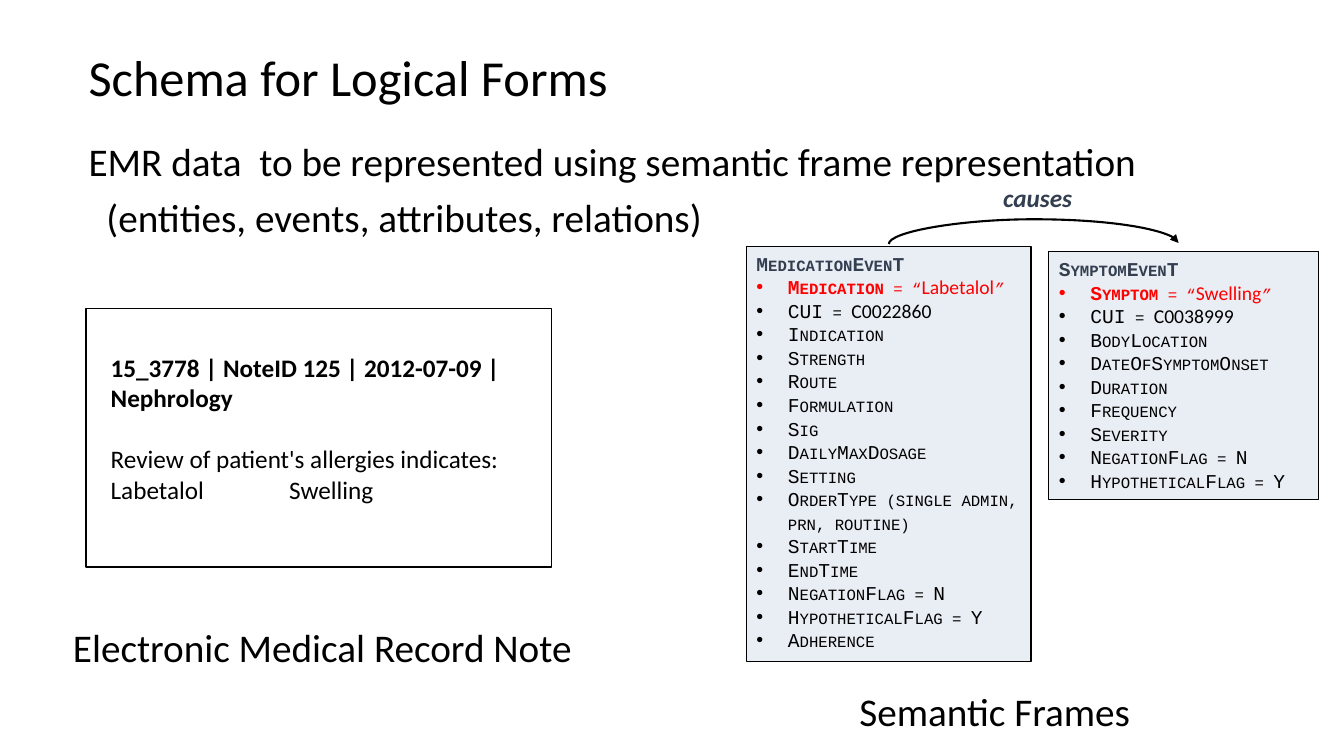
from lxml import etree
from pptx import Presentation, util as u
from pptx.dml.color import RGBColor
from pptx.enum import shapes, text
from pptx.oxml.ns import qn

HUES = {"ink": "000000", "slate": "333F50", "red": "FF0000", "pale": "E9EDF4"}
SANS, MONO = "Calibri", "Courier New"


def px(n):
    return u.Emu(n * 9525)


def hue(name):
    return RGBColor.from_string(HUES[name])


class Board:
    """Holds the style and the slide being drawn."""

    def __init__(self, deck):
        self.slide = deck.slides.add_slide(deck.slide_layouts[6])

    def style(self, run, size, color="ink", face=SANS, bold=False, slant=False):
        font = run.font
        font.size, font.name = u.Pt(size), face
        font.bold, font.italic = bold, slant
        font.color.rgb = hue(color)
        if face == MONO:
            run._r.get_or_add_rPr().set("cap", "small")

    def label(self, box, lines, size, wrap=True, **look):
        item = self.slide.shapes.add_textbox(*map(px, box))
        frame = item.text_frame
        frame.word_wrap = wrap
        frame.text = "\n".join(lines)
        for para in frame.paragraphs:
            for run in para.runs:
                self.style(run, size, **look)
        return frame

    def rect(self, box, width, fill=None):
        item = self.slide.shapes.add_shape(shapes.MSO_SHAPE.RECTANGLE, *map(px, box))
        item.shadow.inherit = False
        if fill:
            item.fill.solid()
            item.fill.fore_color.rgb = hue(fill)
        else:
            item.fill.background()
        item.line.color.rgb = hue("ink")
        item.line.width = u.Pt(width)
        return item

    def event(self, box, name, key, value, code, fields):
        frame = self.rect(box, 0.75, "pale").text_frame
        frame.word_wrap = True
        frame.vertical_anchor = text.MSO_ANCHOR.TOP
        mono, red = {"face": MONO}, {"color": "red"}
        rows = [
            [(name, {"color": "slate", "bold": True, **mono})],
            [(key, {"bold": True, **red, **mono}), (" = “", {**red, **mono}),
             (value, red), ("”", {"slant": True, **red, **mono})],
            [("CUI = ", mono), (code, {})],
        ] + [[(field, mono)] for field in fields]
        for i, row in enumerate(rows):
            para = frame.add_paragraph() if i else frame.paragraphs[0]
            para.alignment = text.PP_ALIGN.LEFT
            if i:
                self.bullet(para)
            for words, look in row:
                run = para.add_run()
                run.text = words
                self.style(run, 14, **look)

    def bullet(self, para):
        props = para._p.get_or_add_pPr()
        props.set("marL", str(px(30)))
        props.set("indent", str(px(-30)))
        etree.SubElement(props, qn("a:buFont"), typeface="Arial")
        etree.SubElement(props, qn("a:buChar"), char="•")

    def arc(self, start, end, bend):
        kind = shapes.MSO_CONNECTOR.CURVE
        item = self.slide.shapes.add_connector(kind, *map(px, start + end))
        item.line.color.rgb = hue("ink")
        item.line.width = u.Pt(1.5)
        props = item._element.spPr
        props.find(qn("a:xfrm")).set("rot", "5400000")
        guides = props.find(qn("a:prstGeom")).find(qn("a:avLst"))
        etree.SubElement(guides, qn("a:gd"), name="adj1", fmla=f"val {bend * 100000}")
        etree.SubElement(props.find(qn("a:ln")), qn("a:tailEnd"), type="triangle")
        etree.SubElement(props, qn("a:effectLst"))


def main():
    deck = Presentation()
    deck.slide_width, deck.slide_height = px(1280), px(720)
    board = Board(deck)

    title = board.label((75, 7, 1104, 139), ["Schema for Logical Forms"], 36)
    title.vertical_anchor = text.MSO_ANCHOR.MIDDLE
    title.paragraphs[0].line_spacing = 0.9

    body = board.label((75, 131, 1090, 110), [
        "EMR data  to be represented using semantic frame representation",
        "(entities, events, attributes, relations)"], 28)
    for para in body.paragraphs:
        para.line_spacing = 0.9
    body.paragraphs[1].space_before = u.Pt(10)
    body.paragraphs[1]._p.get_or_add_pPr().set("marL", str(px(17)))

    board.label((809, 650, 280, 55), ["Semantic Frames"], 28, wrap=False)
    board.label((60, 589, 499, 55), ["Electronic Medical Record Note"], 28, wrap=False)
    board.label((946, 169, 85, 38), ["causes"], 18, wrap=False,
                color="slate", bold=True, slant=True)

    note = board.label((96, 331, 402, 184), [
        "15_3778 | NoteID 125 | 2012-07-09 | Nephrology",
        "Review of patient's allergies indicates:",
        "Labetalol\tSwelling"], 18)
    head, review, drug = note.paragraphs
    head.runs[0].font.bold = True
    review.space_before = u.Pt(22)
    tabs = etree.SubElement(drug._p.get_or_add_pPr(), qn("a:tabLst"))
    etree.SubElement(tabs, qn("a:tab"), pos=str(px(170)), algn="l")
    board.rect((82, 294, 443, 246), 1)

    flags = ["NegationFlag = N", "HypotheticalFlag = Y"]
    board.event((999, 240, 257, 236), "SymptomEvenT", "Symptom", "Swelling", "C0038999",
                ["BodyLocation", "DateOfSymptomOnset", "Duration", "Frequency",
                 "Severity"] + flags)
    board.event((711, 235, 271, 395), "MedicationEvenT", "Medication", "Labetalol",
                "C0022860",
                ["Indication", "Strength", "Route", "Formulation", "Sig",
                 "DailyMaxDosage", "Setting", "OrderType (single admin, prn, routine)",
                 "StartTime", "EndTime"] + flags + ["Adherence"])
    board.arc((985, 370), (984, 94), 24)
    deck.save("out.pptx")


if __name__ == "__main__":
    main()
